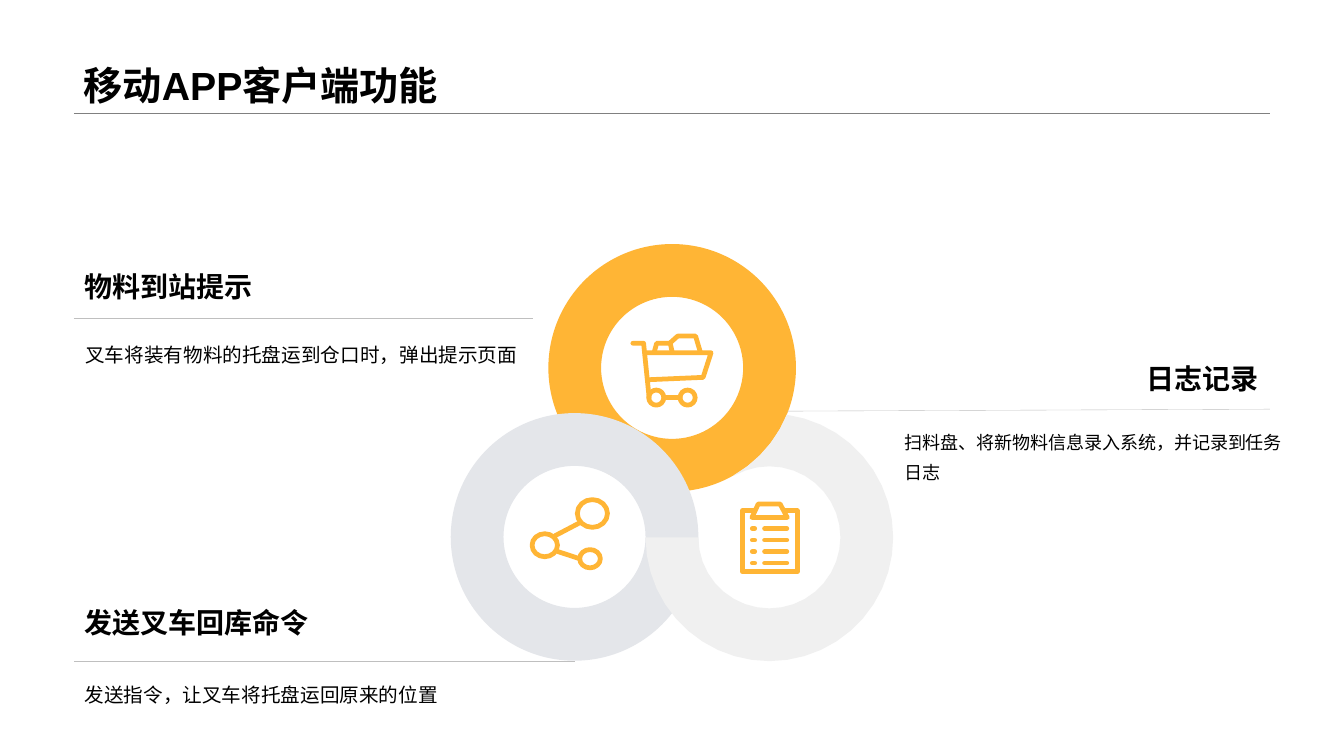
from math import cos, radians, sin

from lxml.etree import SubElement
from pptx import Presentation
from pptx.dml.color import RGBColor
from pptx.enum.shapes import MSO_CONNECTOR, MSO_SHAPE
from pptx.enum.text import MSO_ANCHOR, PP_ALIGN
from pptx.oxml.ns import qn
from pptx.util import Cm, Pt

ORANGE = RGBColor(0xFF, 0xB5, 0x35)
GREY = RGBColor(0xE4, 0xE6, 0xEA)
LIGHT = RGBColor(0xF0, 0xF0, 0xF0)
RULE = RGBColor(0xBF, 0xBF, 0xBF)
TITLE_RULE = RGBColor(0x80, 0x80, 0x80)
BLACK = RGBColor(0, 0, 0)

# Ring geometry in cm
OUTER, INNER = 3.12, 1.79
TOP_RING, LEFT_RING, RIGHT_RING = (16.94, 9.27), (14.48, 13.53), (19.39, 13.54)


def arc(center, rx, ry, start, end, steps):
    """Points along an ellipse; angles in degrees, clockwise from the right."""
    angles = [radians(start + (end - start) * i / steps) for i in range(steps + 1)]
    return [(center[0] + rx * cos(a), center[1] + ry * sin(a)) for a in angles]


def oval(x, y, rx, ry):
    return arc((x, y), rx, ry, 0, 360, 16)


class SlideBuilder:
    font = "Arial"
    stroke = Pt(3.4)

    def __init__(self, slide):
        self.shapes = slide.shapes

    def text(self, x, y, w, h, text, size, bold=False, anchor=MSO_ANCHOR.TOP,
             align=PP_ALIGN.LEFT, spacing=1.0):
        tf = self.shapes.add_textbox(Cm(x), Cm(y), Cm(w), Cm(h)).text_frame
        tf.word_wrap = True
        tf.vertical_anchor = anchor
        tf.text = text
        p = tf.paragraphs[0]
        p.alignment = align
        p.line_spacing = spacing
        f = p.runs[0].font
        f.name, f.size, f.bold = self.font, Pt(size), bold
        f.color.rgb = BLACK

    def line(self, x1, y1, x2, y2, color=RULE):
        s = self.shapes.add_connector(MSO_CONNECTOR.STRAIGHT, Cm(x1), Cm(y1), Cm(x2), Cm(y2))
        s.line.color.rgb = color
        s.line.width = Pt(0.25)
        SubElement(s._element.spPr, qn("a:effectLst"))

    def fill(self, s, color):
        s.shadow.inherit = False
        s.fill.solid()
        s.fill.fore_color.rgb = color
        s.line.fill.background()

    def ring(self, center, color):
        x, y = center
        s = self.shapes.add_shape(MSO_SHAPE.DONUT, Cm(x - OUTER), Cm(y - OUTER),
                                  Cm(2 * OUTER), Cm(2 * OUTER))
        s.adjustments[0] = (OUTER - INNER) / (2 * OUTER)
        self.fill(s, color)

    def outline(self, contours):
        """One freeform of several contours, each a list of points in cm."""
        first, *rest = [[(Cm(x), Cm(y)) for x, y in points] for points in contours]
        fb = self.shapes.build_freeform(*first[0])
        fb.add_line_segments(first[1:], close=False)
        for points in rest:
            fb.move_to(*points[0])
            fb.add_line_segments(points[1:], close=False)
        return fb.convert_to_shape()

    def area(self, points, color):
        self.fill(self.outline([points + points[:1]]), color)

    def icon(self, *contours):
        s = self.outline(contours)
        s.shadow.inherit = False
        s.fill.background()
        s.line.color.rgb = ORANGE
        s.line.width = self.stroke
        ln = s.line._get_or_add_ln()
        ln.set("cap", "rnd")
        SubElement(ln, qn("a:round"))


def draw_rings(b):
    b.ring(TOP_RING, ORANGE)
    b.ring(LEFT_RING, GREY)
    # The right ring tucks under the top one and over the left one
    b.area(arc(TOP_RING, OUTER, OUTER, 22, 60, 5)
           + arc(RIGHT_RING, INNER, INNER, -120, 180, 30)
           + arc(RIGHT_RING, OUTER, OUTER, 180, -82, 32), LIGHT)


def draw_share_icon(b):
    b.icon(oval(13.73, 13.74, 0.32, 0.29),
           oval(14.93, 12.94, 0.38, 0.35),
           oval(14.87, 14.08, 0.26, 0.23),
           [(13.99, 13.5), (14.6, 13.18)],
           [(14.06, 13.9), (14.61, 14.08)])


def draw_cart_icon(b):
    handle = [(15.95, 8.65), (16.22, 8.65), (16.36, 10.02)]
    basket = [(16.29, 8.89), (17.92, 8.89), (17.72, 9.51), (16.33, 9.57)]
    large_box = [(16.94, 8.87), (16.89, 8.64), (17.08, 8.47), (17.53, 8.47), (17.65, 8.87)]
    small_box = [(16.49, 8.87), (16.55, 8.65), (16.88, 8.65)]
    axle = [(16.73, 10.02), (17.14, 10.02)]
    wheels = [oval(x, 10.02, 0.19, 0.19) for x in (16.54, 17.33)]
    b.icon(handle, basket, large_box, small_box, axle, *wheels)


def draw_clipboard_icon(b):
    board = [(19.03, 12.87), (18.71, 12.87), (18.71, 14.41),
             (20.09, 14.41), (20.09, 12.87), (19.76, 12.87)]
    clip = [(19.11, 12.7), (19.66, 12.7), (19.84, 13.04), (18.95, 13.04), (19.11, 12.7)]
    rows = [[(x1, 13.32 + 0.29 * row), (x2, 13.32 + 0.29 * row)]
            for row in range(4) for x1, x2 in ((18.96, 19.02), (19.27, 19.83))]
    b.icon(board, clip, *rows)


def main():
    prs = Presentation()
    prs.slide_width, prs.slide_height = Cm(33.87), Cm(19.05)
    b = SlideBuilder(prs.slides.add_slide(prs.slide_layouts[6]))

    b.line(1.86, 2.86, 32, 2.86, TITLE_RULE)
    b.text(1.86, 0, 30.14, 2.86, "移动APP客户端功能", 28, True, MSO_ANCHOR.BOTTOM)

    draw_rings(b)
    b.line(19.84, 10.36, 32, 10.31)
    b.line(14.48, 16.66, 1.86, 16.66)
    b.line(1.86, 8.03, 13.44, 8.03)
    draw_share_icon(b)
    draw_cart_icon(b)
    draw_clipboard_icon(b)

    middle = MSO_ANCHOR.MIDDLE
    b.text(1.88, 6.67, 11.91, 1.22, "物料到站提示", 20, True)
    b.text(1.88, 15.07, 14.94, 1.22, "发送叉车回库命令", 20, True, middle)
    b.text(19.84, 8.92, 12.14, 1.22, "日志记录", 20, True, middle, PP_ALIGN.RIGHT)
    b.text(1.9, 8.23, 11.91, 4.04, "叉车将装有物料的托盘运到仓口时，弹出提示页面", 14, spacing=1.5)
    b.text(1.88, 16.79, 11.91, 1.83, "发送指令，让叉车将托盘运回原来的位置", 14, spacing=1.5)
    b.text(22.55, 10.52, 10.4, 1.83, "扫料盘、将新物料信息录入系统，并记录到任务日志", 12.9, spacing=1.4)

    prs.save("out.pptx")


if __name__ == "__main__":
    main()
